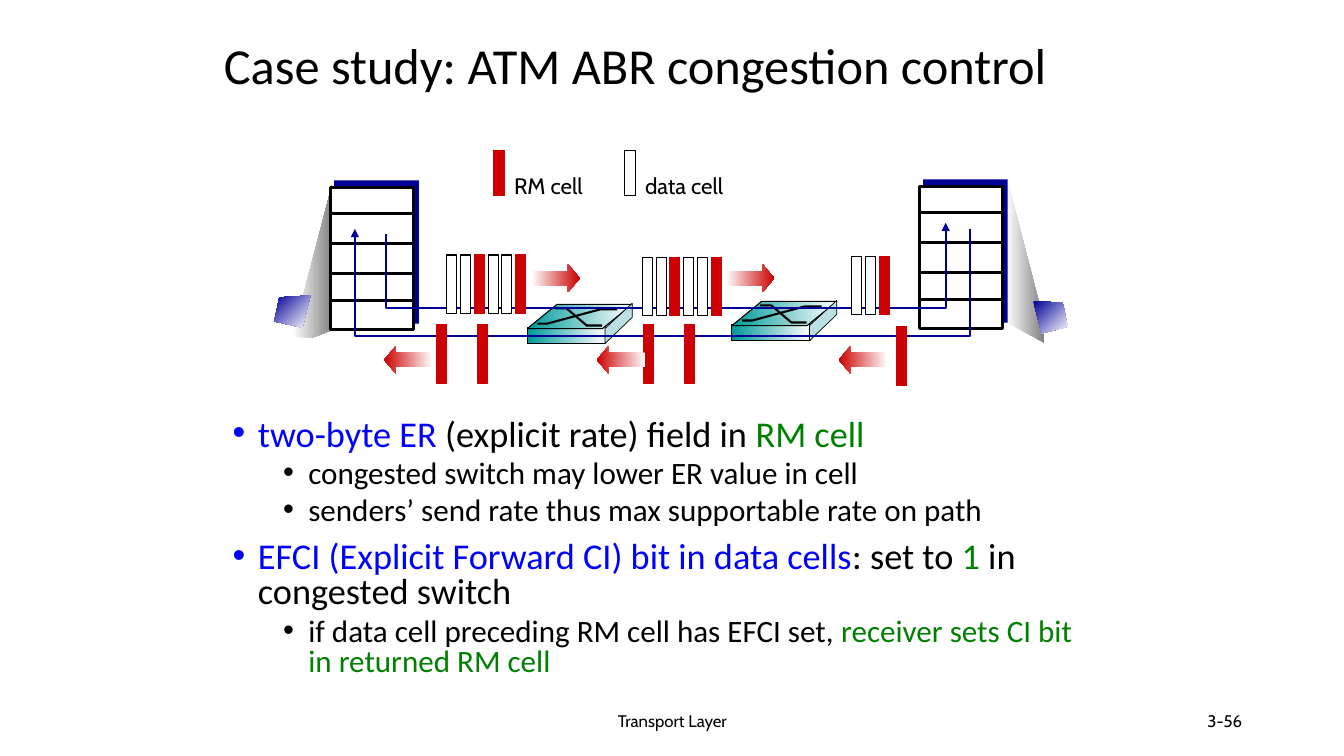
from dataclasses import dataclass

from lxml.etree import SubElement
from pptx import Presentation
from pptx.dml.color import RGBColor
from pptx.enum.shapes import MSO_CONNECTOR, MSO_SHAPE
from pptx.enum.text import MSO_ANCHOR, PP_ALIGN
from pptx.oxml.ns import qn
from pptx.util import Inches, Pt


@dataclass(frozen=True)
class Theme:
    black: str = "000000"
    white: str = "FFFFFF"
    gray: str = "808080"
    red: str = "CC0000"
    navy: str = "000099"
    teal: str = "009999"
    pale: str = "BBE0E3"
    blue: str = "0000FF"
    green: str = "008000"
    heading_font: str = "Calibri"
    label_font: str = "Cabin"
    title_size: float = 36
    point_size: float = 25.9
    subpoint_size: float = 22.2
    label_size: float = 16
    footer_size: float = 12


THEME = Theme()


@dataclass(frozen=True)
class Box:
    """An area of the slide, in columns and rows of a tenth of an inch."""
    col: float
    row: float
    cols: float
    rows: float

    def area(self, col, row, cols, rows):
        return Box(self.col + col, self.row + row, cols, rows)

    def point(self, col, row):
        return Inches((self.col + col) / 10), Inches((self.row + row) / 10)

    def frame(self):
        return (*self.point(0, 0), Inches(self.cols / 10), Inches(self.rows / 10))


def paint(shape, fill=None, line=None, width=0.75, angle=0):
    """Fill with one colour, a (start, end) gradient or nothing, and set the outline."""
    shape.shadow.inherit = False
    if isinstance(fill, tuple):
        shape.fill.gradient()
        shape.fill.gradient_angle = angle
        for stop, color in zip(shape.fill.gradient_stops, fill):
            stop.color.rgb = RGBColor.from_string(color)
    elif fill:
        shape.fill.solid()
        shape.fill.fore_color.rgb = RGBColor.from_string(fill)
    else:
        shape.fill.background()
    if line:
        shape.line.color.rgb = RGBColor.from_string(line)
        shape.line.width = Pt(width)
    else:
        shape.line.fill.background()


def add_block(slide, box, kind=MSO_SHAPE.RECTANGLE, **look):
    block = slide.shapes.add_shape(kind, *box.frame())
    paint(block, **look)
    return block


def add_outline(slide, box, points, close=True, **look):
    start, *rest = [box.point(*point) for point in points]
    builder = slide.shapes.build_freeform(*start)
    builder.add_line_segments(rest, close=close)
    outline = builder.convert_to_shape()
    paint(outline, **look)
    return outline


def style(run, font, size, color):
    run.font.name = font
    run.font.size = Pt(size)
    run.font.color.rgb = RGBColor.from_string(color)


def add_label(slide, box, text, size, align=PP_ALIGN.LEFT, anchor=MSO_ANCHOR.TOP, wrap=False):
    frame = slide.shapes.add_textbox(*box.frame()).text_frame
    frame.word_wrap = wrap
    frame.vertical_anchor = anchor
    frame.text = text
    frame.paragraphs[0].alignment = align
    style(frame.paragraphs[0].runs[0], THEME.label_font, size, THEME.black)


def add_title(slide, box, text):
    title = slide.shapes.title
    title.left, title.top, title.width, title.height = box.frame()
    frame = title.text_frame
    frame.text = text
    frame.vertical_anchor = MSO_ANCHOR.MIDDLE
    heading = frame.paragraphs[0]
    heading.alignment = PP_ALIGN.LEFT
    heading.line_spacing = 0.9
    style(heading.runs[0], THEME.heading_font, THEME.title_size, THEME.black)


def add_points(slide, box, points):
    """Write (level, [(text, colour), ...]) entries as a bulleted list."""
    frame = slide.shapes.add_textbox(*box.frame()).text_frame
    frame.word_wrap = True
    for index, (level, pieces) in enumerate(points):
        point = frame.paragraphs[0] if index == 0 else frame.add_paragraph()
        point.level = level
        point.line_spacing = 0.8
        if index:
            point.space_before = Pt(5 if level else 10)
        props = point._p.get_or_add_pPr()
        props.set("marL", str(Inches(0.25 + 0.5 * level)))
        props.set("indent", str(Inches(-0.25)))
        SubElement(props, qn("a:buFont")).set("typeface", "Arial")
        SubElement(props, qn("a:buChar")).set("char", "•")
        size = THEME.subpoint_size if level else THEME.point_size
        for text, color in pieces:
            run = point.add_run()
            run.text = text
            style(run, THEME.heading_font, size, color)


def add_switch(slide, box):
    face = (THEME.teal, THEME.white)
    add_block(slide, box.area(0, 2.4, 7.8, 1.6), fill=face, line=THEME.black)
    top = add_block(slide, box.area(0, 0.1, 10.4, 2.4), MSO_SHAPE.PARALLELOGRAM,
                    fill=face, line=THEME.black)
    top.adjustments[0] = 1.228
    add_outline(slide, box, [(7.7, 2.5), (7.7, 4), (10.4, 1.4), (10.4, 0)],
                fill=THEME.pale, line=THEME.black, width=0.5)
    for crossing in ([(1, 2), (2, 2), (7.2, 0.6), (8.9, 0.6)],
                     [(2.8, 0.5), (3.9, 0.5), (5.9, 2.2), (7.4, 2.2)]):
        add_outline(slide, box, crossing, close=False, line=THEME.black, width=1.5)


def add_protocol_stack(slide, box, beam, host):
    """Draw a layered stack with the beam that leads to its host."""
    add_outline(slide, box, beam, fill=(THEME.white, THEME.gray))
    add_outline(slide, box, host, fill=(THEME.navy, THEME.white), angle=315)
    add_block(slide, box.area(0.35, -0.7, 8.4, 14.2), fill=THEME.navy)
    add_block(slide, box, fill=THEME.white, line=THEME.black, width=2.25)
    for row in (2.6, 5.6, 8.5, 11.2):
        divider = slide.shapes.add_connector(
            MSO_CONNECTOR.STRAIGHT, *box.point(0, row), *box.point(box.cols, row))
        divider.line.color.rgb = RGBColor.from_string(THEME.black)
        divider.line.width = Pt(2.25)
        SubElement(divider._element.spPr, qn("a:effectLst"))


def add_cell(slide, box, is_rm):
    fill, line = (THEME.red, THEME.red) if is_rm else (THEME.white, THEME.black)
    add_block(slide, box, fill=fill, line=line)


def add_flow_arrow(slide, box, rotation):
    arrow = add_block(slide, box, MSO_SHAPE.RIGHT_ARROW, fill=(THEME.white, THEME.red))
    arrow.adjustments[1] = 0.418
    arrow.rotation = rotation


def add_network(slide, box):
    for col, row in ((45.6, 15.8), (25.3, 16.1)):
        add_switch(slide, box.area(col, row, 10.4, 4))
    add_protocol_stack(slide, box.area(5.8, 4.6, 8.2, 14.1),
                       beam=[(-3.8, 14.8), (0.2, -0.5), (0, 14.2), (-1.8, 14.9)],
                       host=[(-2, 10.7), (-5.1, 10.9), (-5.6, 13.3), (-2.8, 13.9)])
    add_protocol_stack(slide, box.area(64.2, 4.5, 8.2, 14.1),
                       beam=[(12, 12.1), (8.6, -1.1), (8.7, 13.5), (12.4, 15.5)],
                       host=[(11.3, 11.4), (14.2, 11.5), (14.7, 13.9), (12.1, 14.6)])
    wires = (("a:tailEnd", [(11.3, 9.2), (11.3, 16.6), (66.8, 16.6), (66.8, 8.1)]),
             ("a:headEnd", [(8.2, 8.7), (8.2, 19.3), (69.2, 19.3), (69.2, 8.7)]))
    for arrow_end, route in wires:
        wire = add_outline(slide, box, route, close=False, line=THEME.navy, width=1.5)
        SubElement(wire._element.spPr.find(qn("a:ln")), qn(arrow_end)).set("type", "triangle")
    for col, row, count in ((17.3, 11.3, 6), (36.7, 11.5, 6), (57.5, 11.4, 3)):
        for index in range(count):
            add_cell(slide, box.area(col + 1.37 * index, row, 1, 5.8), index % 3 == 2)
    for col, row in ((16.3, 18.2), (20.4, 18.2), (36.8, 18.2), (40.9, 18.2), (61.9, 18.4)):
        add_cell(slide, box.area(col, row, 1, 5.8), True)
    for row, rotation, cols in ((12.2, 0, (25.7, 45)), (20.3, 180, (11.1, 32.2, 56.2))):
        for col in cols:
            add_flow_arrow(slide, box.area(col, row, 4.8, 2.8), rotation)
    for col, name, is_rm in ((21.9, "RM cell", True), (34.9, "data cell", False)):
        add_cell(slide, box.area(col, 0.9, 1.1, 4.5), is_rm)
        add_label(slide, box.area(col + 1.1, 2.6, 10, 3.7), name, THEME.label_size)


def add_footer(slide, box):
    for col, cols, text, align in ((0, 45, "Transport Layer", PP_ALIGN.CENTER),
                                   (50, 30, "3-56", PP_ALIGN.RIGHT)):
        add_label(slide, box.area(col, 0, cols, box.rows), text, THEME.footer_size,
                  align, MSO_ANCHOR.MIDDLE, wrap=True)


POINTS = [
    (0, [("two-byte ER ", THEME.blue), ("(explicit rate) field in ", THEME.black),
         ("RM cell", THEME.green)]),
    (1, [("congested switch may lower ER value in cell", THEME.black)]),
    (1, [("senders’ send rate thus max supportable rate on path", THEME.black)]),
    (0, [("EFCI (Explicit Forward CI) bit in data cells", THEME.blue),
         (": set to ", THEME.black), ("1", THEME.green), (" in congested switch", THEME.black)]),
    (1, [("if data cell preceding RM cell has EFCI set, ", THEME.black),
         ("receiver sets CI bit in returned RM cell", THEME.green)]),
]


def main():
    deck = Presentation()
    deck.slide_width, deck.slide_height = Inches(13.33), Inches(7.5)
    slide = deck.slides.add_slide(deck.slide_layouts[5])
    add_title(slide, Box(21.2, 1.6, 87.4, 10.4), "Case study: ATM ABR congestion control")
    add_network(slide, Box(27, 14, 79, 25))
    add_points(slide, Box(22.1, 41.1, 88, 27.3), POINTS)
    add_footer(slide, Box(44.2, 69.5, 80, 4))
    deck.save("out.pptx")


if __name__ == "__main__":
    main()
